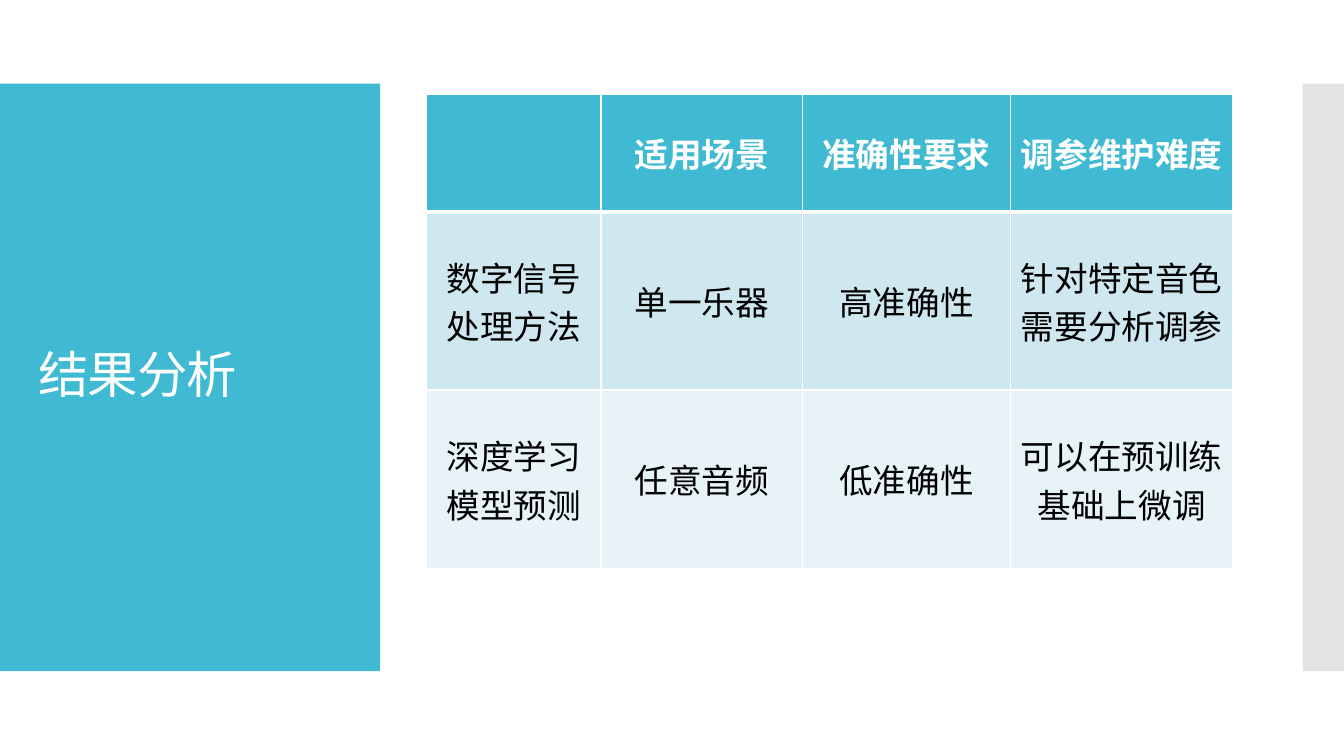
from lxml import etree
from pptx import Presentation
from pptx.dml.color import RGBColor
from pptx.enum.lang import MSO_LANGUAGE_ID
from pptx.enum.shapes import MSO_SHAPE
from pptx.enum.text import MSO_ANCHOR, PP_ALIGN
from pptx.oxml.ns import qn
from pptx.util import Inches, Pt

RECT = MSO_SHAPE.RECTANGLE
MIDDLE = MSO_ANCHOR.MIDDLE
LEFT, CENTER = PP_ALIGN.LEFT, PP_ALIGN.CENTER
CHINESE = MSO_LANGUAGE_ID.SIMPLIFIED_CHINESE

TEAL, GREY, WHITE, BLACK = "40BAD2", "C8C8C8", "FFFFFF", "000000"
BANDS = ["CFE7EE", "E8F3F7"]
TITLE = {"name": "Comic Neue", "size": Pt(36), "bold": False}
HEAD = {"name": "Calibri", "size": Pt(24), "bold": True}
BODY = {**HEAD, "bold": False}


def paint(code):
    return RGBColor.from_string(code)


class Board:
    def __init__(self, deck):
        self.slide = deck.slides.add_slide(deck.slide_layouts[6])
        self.shapes = self.slide.shapes

    def label(self, frame, text, style, color, align):
        """Put one paragraph per line into a frame."""
        frame.text = text
        for para in frame.paragraphs:
            para.alignment = align
            for run in para.runs:
                for key, value in {**style, "language_id": CHINESE}.items():
                    setattr(run.font, key, value)
                run.font.color.rgb = paint(color)

    def panel(self, box, color, alpha=100):
        shape = self.shapes.add_shape(RECT, *map(Inches, box))
        shape.shadow.inherit = False
        shape.fill.solid()
        shape.fill.fore_color.rgb = paint(color)
        shape.line.fill.background()
        if alpha < 100:
            tint = shape.fill._xPr.find(".//" + qn("a:srgbClr"))
            etree.SubElement(tint, qn("a:alpha"), val=str(alpha * 1000))

    def title(self, box, text):
        frame = self.shapes.add_textbox(*map(Inches, box)).text_frame
        frame.word_wrap = True
        frame.vertical_anchor = MIDDLE
        self.label(frame, text, TITLE, WHITE, LEFT)
        para = frame.paragraphs[0]
        para.line_spacing = 0.9
        para.runs[0].font._element.set("spc", "-60")

    def border(self, cell, widths):
        props = cell._tc.get_or_add_tcPr()
        for side, width in widths.items():
            line = etree.SubElement(props, qn("a:ln" + side), w=str(Pt(width)))
            fill = etree.SubElement(line, qn("a:solidFill"))
            etree.SubElement(fill, qn("a:srgbClr"), val=WHITE)

    def table(self, box, cols, rows, data):
        grid = self.shapes.add_table(len(rows), len(cols), *map(Inches, box)).table
        for col, width in zip(grid.columns, cols):
            col.width = Inches(width)
        for r, (row, height) in enumerate(zip(grid.rows, rows)):
            row.height = Inches(height)
            top = r == 0
            back = TEAL if top else BANDS[(r - 1) % 2]
            widths = {"L": 1, "R": 1, "T": 3 if r == 1 else 1, "B": 3 if top else 1}
            for cell, text in zip(row.cells, data[r]):
                self.border(cell, widths)
                cell.fill.solid()
                cell.fill.fore_color.rgb = paint(back)
                cell.vertical_anchor = MIDDLE
                style, color = (HEAD, WHITE) if top else (BODY, BLACK)
                self.label(cell.text_frame, text, style, color, CENTER)


def main():
    deck = Presentation()
    deck.slide_width, deck.slide_height = Inches(13.33), Inches(7.5)
    board = Board(deck)

    # Side panels and title
    board.panel((0, 0.83, 3.77, 5.83), TEAL)
    board.panel((12.92, 0.83, 0.41, 5.83), GREY, alpha=50)
    board.title((0.28, 1.23, 3.22, 5.03), "结果分析")

    # Comparison of methods
    data = [
        ["", "适用场景", "准确性要求", "调参维护难度"],
        ["数字信号\n处理方法", "单一乐器", "高准确性", "针对特定音色需要分析调参"],
        ["深度学习\n模型预测", "任意音频", "低准确性", "可以在预训练基础上微调"],
    ]
    board.table((4.23, 0.94, 8, 4.7), [1.73, 2, 2.06, 2.21], [1.16, 1.77, 1.77], data)

    deck.save("out.pptx")


if __name__ == "__main__":
    main()
